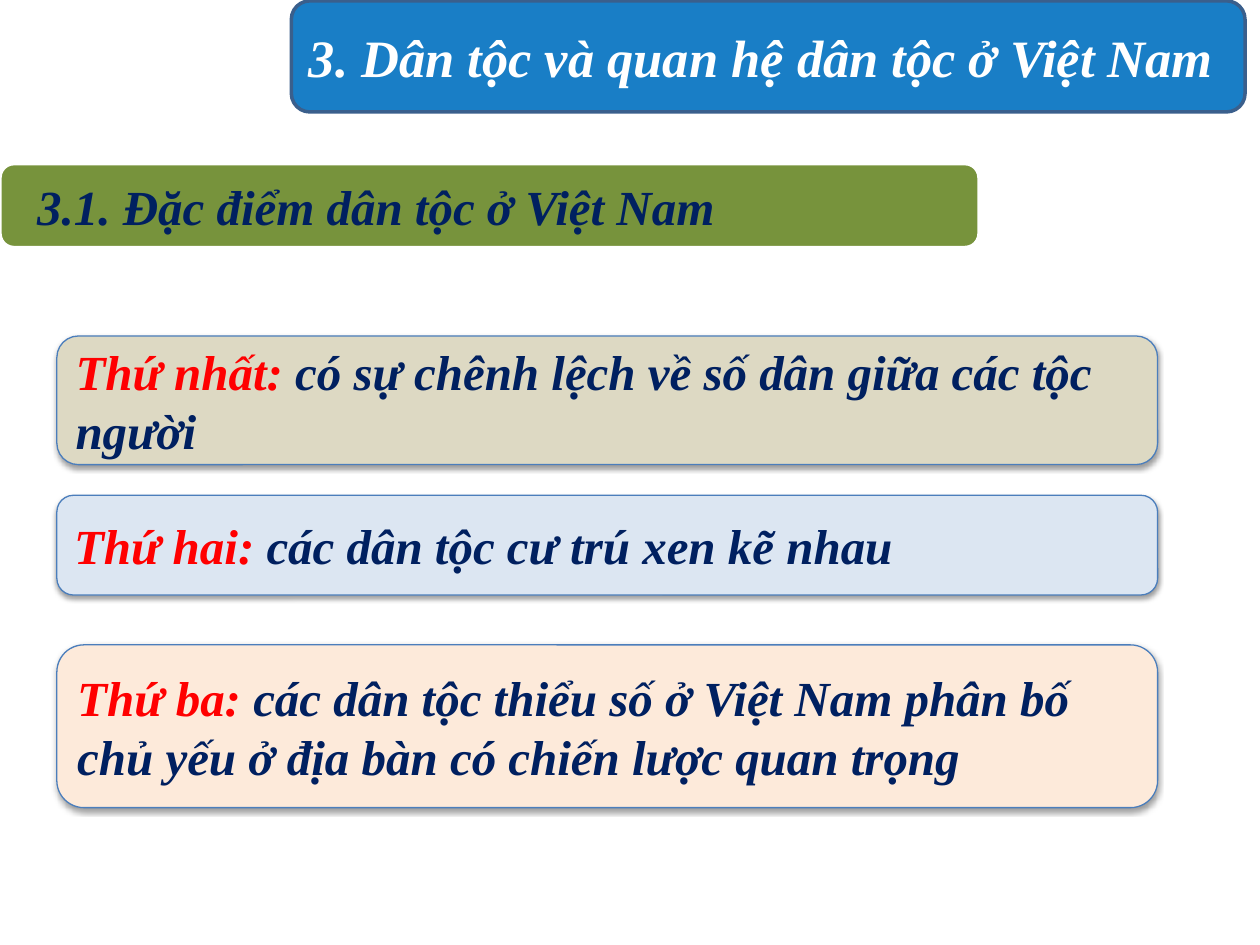
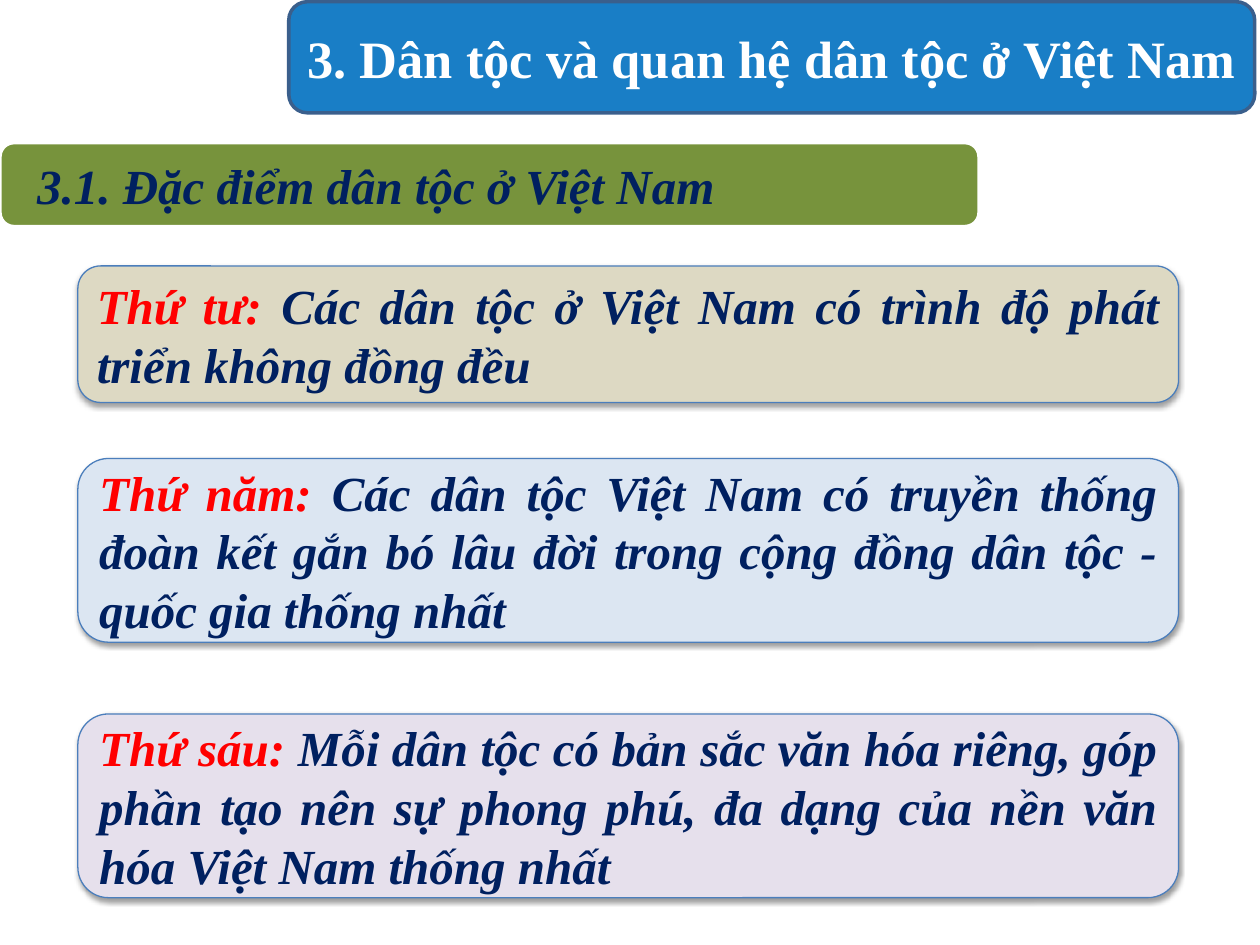
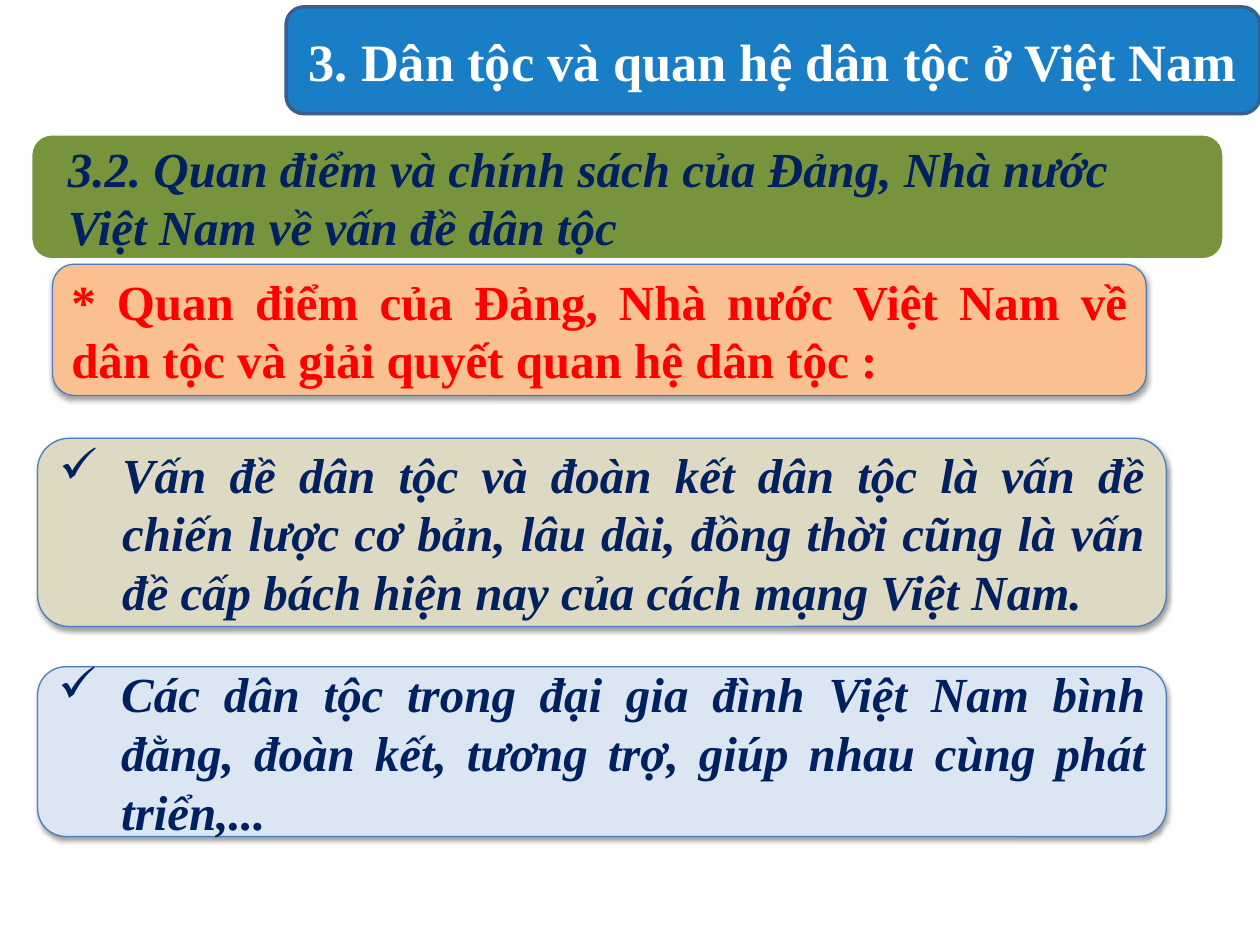
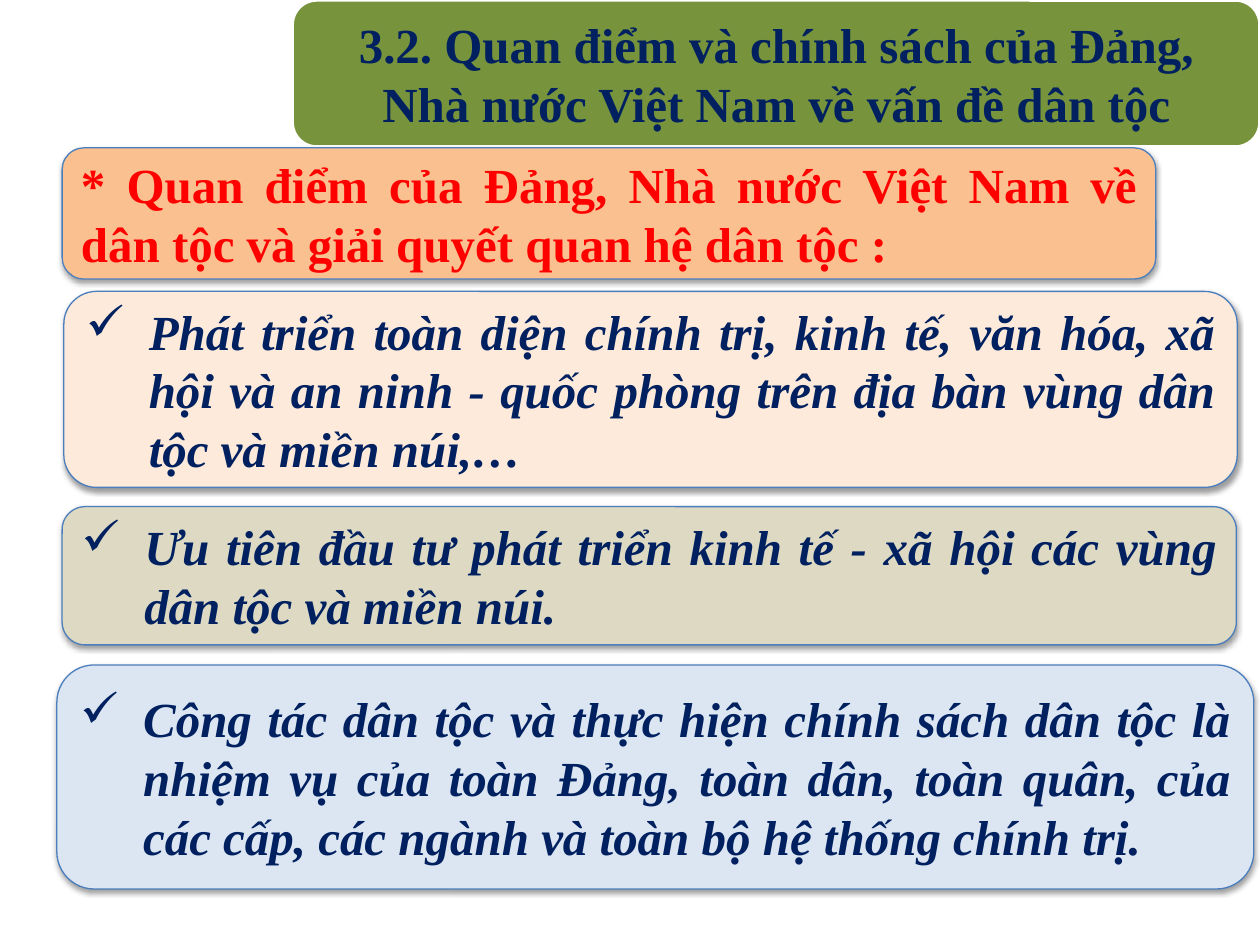
from dataclasses import dataclass
from typing import NamedTuple

from lxml.etree import SubElement
from pptx import Presentation
from pptx.dml.color import RGBColor
from pptx.enum.shapes import MSO_SHAPE
from pptx.enum.text import MSO_ANCHOR, MSO_AUTO_SIZE, PP_ALIGN
from pptx.oxml.ns import qn
from pptx.util import Pt

FONT = "Times New Roman"
COLORS = {
    "blue": "0070C0", "edge": "3A5F8C", "green": "77933C", "white": "FFFFFF",
    "navy": "002060", "red": "FF0000", "line": "4B7EBC", "black": "000000",
    "tan": "DDD9C3", "ice": "DCE6F2", "peach": "FDEADA", "lilac": "E6E0EC",
    "orange": "FAC090",
}
LEFT, CENTER, JUSTIFY = PP_ALIGN.LEFT, PP_ALIGN.CENTER, PP_ALIGN.JUSTIFY
TITLE = "3. Dân tộc và quan hệ dân tộc ở Việt Nam"
TRAITS = "3.1. Đặc điểm dân tộc ở Việt Nam"
POLICY = "3.2. Quan điểm và chính sách của Đảng, Nhà nước Việt Nam về vấn đề dân tộc"
VIEWS = ("* Quan điểm của Đảng, Nhà nước Việt Nam về dân tộc "
         "và giải quyết quan hệ dân tộc :")
INSET = 4


class Rect(NamedTuple):
    x: float
    y: float
    w: float
    h: float

    def points(self) -> list:
        return [Pt(side) for side in self]

    def inner(self) -> "Rect":
        return Rect(self.x + INSET, self.y + INSET,
                    self.w - 2 * INSET, self.h - 2 * INSET)


class Style(NamedTuple):
    size: float = 28
    color: str = "navy"
    italic: bool = True
    align: PP_ALIGN = LEFT
    margin: float = 7.2


@dataclass
class Card:
    rect: Rect
    fill: str
    text: str
    label: str = ""
    style: Style = Style(align=JUSTIFY)
    bullet: bool = False


@dataclass
class Page:
    title: Rect
    cards: list[Card]
    italic: bool = False
    align: PP_ALIGN = CENTER
    band: Rect | None = None
    topic: str = ""


def rgb(name: str) -> RGBColor:
    return RGBColor.from_string(COLORS[name])


def draw_round(slide, rect: Rect, fill: str, line: str, width: float):
    shape = slide.shapes.add_shape(MSO_SHAPE.ROUNDED_RECTANGLE, *rect.points())
    shape.shadow.inherit = False
    shape.fill.solid()
    shape.fill.fore_color.rgb = rgb(fill)
    shape.line.color.rgb = rgb(line)
    shape.line.width = Pt(width)
    return shape


def add_alpha(color, percent: int) -> None:
    SubElement(color, qn("a:alpha"), val=str(percent * 1000))


def add_shadow(shape) -> None:
    effects = shape._element.spPr.find(qn("a:effectLst"))
    outer = SubElement(effects, qn("a:outerShdw"), blurRad=str(Pt(3.1)),
                       dist=str(Pt(1.6)), dir="5400000", rotWithShape="0")
    color = SubElement(outer, qn("a:srgbClr"), val=COLORS["black"])
    add_alpha(color, 38)


def add_check(para) -> None:
    """Give the paragraph a tick bullet with a hanging indent."""
    props = para._p.get_or_add_pPr()
    props.set("marL", str(Pt(36)))
    props.set("indent", str(-Pt(36)))
    SubElement(props, qn("a:buChar"), char="✓")
    para.space_after = Pt(6)


def add_run(para, text: str, style: Style, color: str) -> None:
    run = para.add_run()
    run.text = text
    font = run.font
    font.name, font.size = FONT, Pt(style.size)
    font.bold, font.italic = True, style.italic
    font.color.rgb = rgb(color)


def write(shape, text: str, style: Style, label: str = "", bullet: bool = False) -> None:
    """Fill a shape with one paragraph, led by a red label if there is one."""
    frame = shape.text_frame
    frame.word_wrap = True
    frame.auto_size = MSO_AUTO_SIZE.NONE
    frame.vertical_anchor = MSO_ANCHOR.MIDDLE
    frame.margin_left = frame.margin_right = Pt(style.margin)
    frame.margin_top = frame.margin_bottom = 0
    para = frame.paragraphs[0]
    if bullet:
        add_check(para)
    para.alignment = style.align
    if label:
        add_run(para, label + " ", style, "red")
    add_run(para, text, style, style.color)


def draw_title(slide, rect: Rect, text: str, style: Style) -> None:
    title = slide.shapes.title
    title.left, title.top, title.width, title.height = rect.points()
    slide.shapes._spTree.append(title._element)
    write(title, text, style)


def draw_band(slide, rect: Rect) -> None:
    draw_round(slide, rect, "green", "white", 2)


def draw_banner(slide, page: Page) -> None:
    banner = draw_round(slide, page.title, "blue", "edge", 2)
    add_alpha(banner._element.spPr.find(qn("a:solidFill"))[0], 90)
    style = Style(30, "white", page.italic, page.align, 10)
    draw_title(slide, page.title, TITLE, style)


def draw_card(slide, card: Card) -> None:
    shape = draw_round(slide, card.rect, card.fill, "line", 0.75)
    add_shadow(shape)
    write(shape, card.text, card.style, card.label, card.bullet)


def draw_page(deck, page: Page) -> None:
    slide = deck.slides.add_slide(deck.slide_layouts[5])
    if page.band:
        draw_banner(slide, page)
        draw_band(slide, page.band)
        box = slide.shapes.add_textbox(*page.band.inner().points())
        write(box, page.topic, Style(margin=17.3))
    else:
        draw_band(slide, page.title)
        style = Style(italic=page.italic, align=page.align, margin=17.3)
        draw_title(slide, page.title.inner(), page.topic, style)
    for card in page.cards:
        draw_card(slide, card)


def views_card(x: float, y: float) -> Card:
    return Card(Rect(x, y, 625, 75), "orange", VIEWS,
                style=Style(color="red", italic=False, align=JUSTIFY))


def check_card(rect: Rect, fill: str, text: str) -> Card:
    return Card(rect, fill, text, bullet=True)


PAGES = [
    Page(Rect(166.5, 0.5, 545, 63.5), [
        Card(Rect(32.5, 192, 629, 73.5), "tan",
             "có sự chênh lệch về số dân giữa các tộc người",
             "Thứ nhất:", Style()),
        Card(Rect(32.5, 283, 629, 57), "ice",
             "các dân tộc cư trú xen kẽ nhau", "Thứ hai:", Style()),
        Card(Rect(32.5, 368.5, 629, 93), "peach",
             "các dân tộc thiểu số ở Việt Nam phân bố chủ yếu ở địa bàn "
             "có chiến lược quan trọng", "Thứ ba:", Style()),
    ], italic=True, align=LEFT, band=Rect(0, 93.5, 559.5, 48), topic=TRAITS),
    Page(Rect(165, 1, 552, 63.5), [
        Card(Rect(44.5, 152, 629, 78), "tan",
             "Các dân tộc ở Việt Nam có trình độ phát triển không đồng đều",
             "Thứ tư:"),
        Card(Rect(44.5, 262, 629, 105), "ice",
             "Các dân tộc Việt Nam có truyền thống đoàn kết gắn bó lâu đời "
             "trong cộng đồng dân tộc - quốc gia thống nhất", "Thứ năm:"),
        Card(Rect(44.5, 408, 629, 105), "lilac",
             "Mỗi dân tộc có bản sắc văn hóa riêng, góp phần tạo nên sự "
             "phong phú, đa dạng của nền văn hóa Việt Nam thống nhất",
             "Thứ sáu:"),
    ], band=Rect(0, 81.5, 559.5, 48), topic=TRAITS),
    Page(Rect(163.5, 4, 556.5, 61), [
        views_card(30, 151),
        check_card(Rect(21.5, 250.5, 645, 107.5), "tan",
                   "Vấn đề dân tộc và đoàn kết dân tộc là vấn đề chiến lược "
                   "cơ bản, lâu dài, đồng thời cũng là vấn đề cấp bách "
                   "hiện nay của cách mạng Việt Nam."),
        check_card(Rect(21.5, 381, 645, 97), "ice",
                   "Các dân tộc trong đại gia đình Việt Nam bình đằng, đoàn "
                   "kết, tương trợ, giúp nhau cùng phát triển,..."),
    ], band=Rect(17.5, 76.5, 682, 72), topic=POLICY),
    Page(Rect(167, 0, 553, 84), [
        views_card(35.5, 84.5),
        check_card(Rect(36.5, 166.5, 670.5, 112), "peach",
                   "Phát triển toàn diện chính trị, kinh tế, văn hóa, xã hội "
                   "và an ninh - quốc phòng trên địa bàn vùng dân tộc "
                   "và miền núi,…"),
        check_card(Rect(35.5, 289.5, 671, 79), "tan",
                   "Ưu tiên đầu tư phát triển kinh tế - xã hội các vùng "
                   "dân tộc và miền núi."),
        check_card(Rect(32.5, 380, 684, 128), "ice",
                   "Công tác dân tộc và thực hiện chính sách dân tộc là nhiệm "
                   "vụ của toàn Đảng, toàn dân, toàn quân, của các cấp, các "
                   "ngành và toàn bộ hệ thống chính trị."),
    ], topic=POLICY),
]


def main() -> None:
    deck = Presentation()
    deck.slide_width, deck.slide_height = Pt(720), Pt(540)
    for page in PAGES:
        draw_page(deck, page)
    deck.save("out.pptx")


if __name__ == "__main__":
    main()
